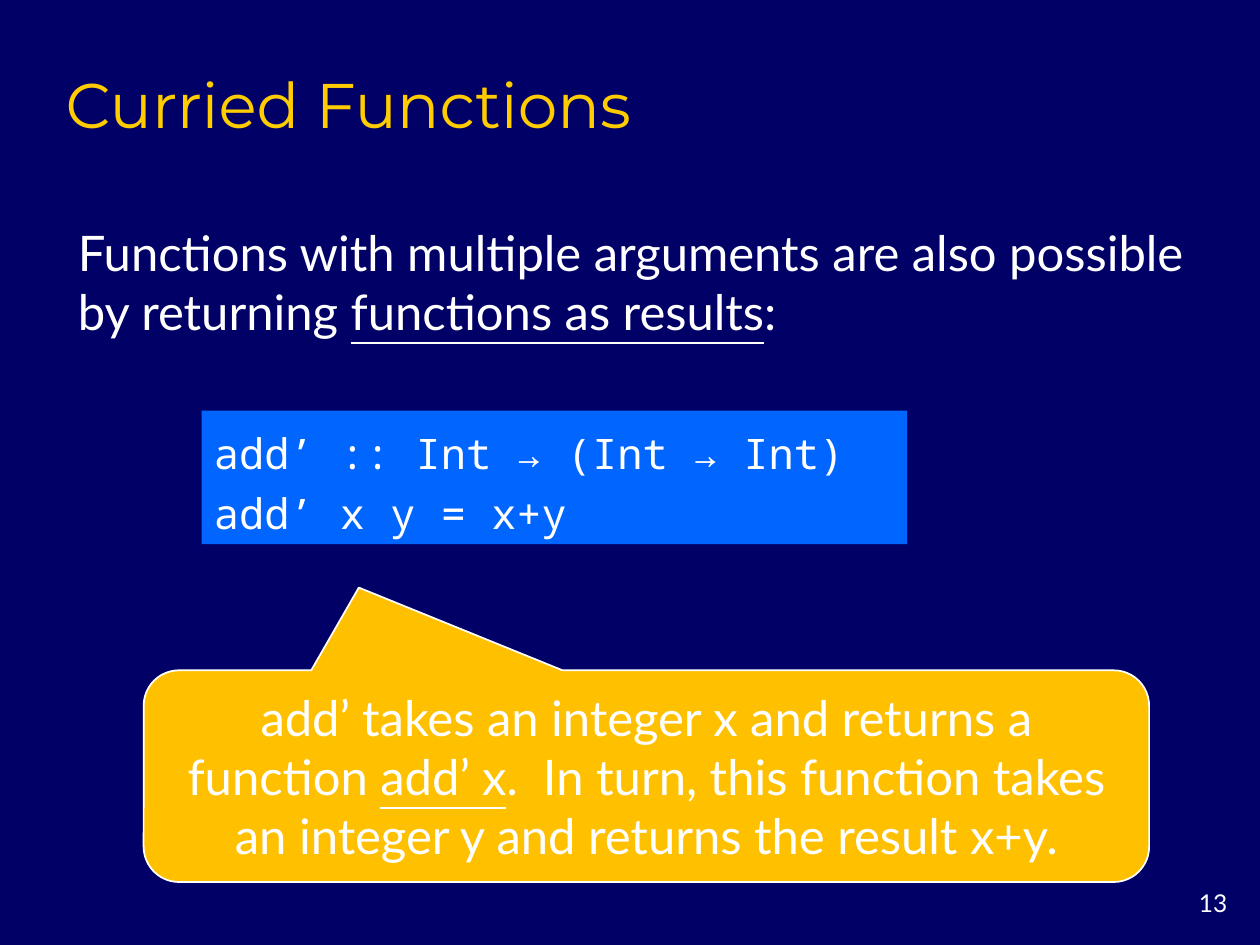
import pptx
import pptx.util
import pptx.dml.color
import pptx.enum.shapes
import pptx.enum.text
from dataclasses import dataclass

Inches = pptx.util.Inches
SHAPE = pptx.enum.shapes.MSO_SHAPE
ANCHOR = pptx.enum.text.MSO_ANCHOR
ALIGN = pptx.enum.text.PP_ALIGN
FIT = pptx.enum.text.MSO_AUTO_SIZE


@dataclass(frozen=True)
class Theme:
    background: str = "000066"
    title: str = "FFCC00"
    text: str = "FFFFFF"
    code: str = "0066FF"
    callout: str = "FFC000"
    title_font: str = "Montserrat"
    body_font: str = "Lato"
    code_font: str = "Noto Sans Mono"
    title_size: int = 36
    body_size: int = 28
    code_size: int = 24
    number_size: int = 14


THEME = Theme()


def rgb(value):
    return pptx.dml.color.RGBColor.from_string(value)


def add_run(p, text, font=THEME.body_font, size=THEME.body_size,
            color=THEME.text, underline=False):
    r = p.add_run()
    r.text = text
    r.font.name = font
    r.font.size = pptx.util.Pt(size)
    r.font.color.rgb = rgb(color)
    r.font.underline = underline


def set_frame(tf, anchor=ANCHOR.MIDDLE, auto_size=FIT.SHAPE_TO_FIT_TEXT):
    tf.word_wrap = True
    tf.vertical_anchor = anchor
    tf.auto_size = auto_size


def add_filled(s, kind, box, fill):
    sp = s.shapes.add_shape(kind, *box)
    sp.shadow.inherit = False
    sp.fill.solid()
    sp.fill.fore_color.rgb = rgb(fill)
    sp.line.fill.background()
    set_frame(sp.text_frame)
    return sp


def add_underlined_phrase(p, before, phrase, after):
    add_run(p, before)
    add_run(p, phrase, underline=True)
    add_run(p, after)


def add_title(s, box, text):
    sp = s.shapes.title
    sp.left, sp.top, sp.width, sp.height = box
    set_frame(sp.text_frame, ANCHOR.BOTTOM, FIT.NONE)
    p = sp.text_frame.paragraphs[0]
    p.alignment = ALIGN.LEFT
    add_run(p, text, font=THEME.title_font, size=THEME.title_size, color=THEME.title)


def add_statement(s, box, *parts):
    tf = s.shapes.add_textbox(*box).text_frame
    set_frame(tf)
    add_underlined_phrase(tf.paragraphs[0], *parts)


def add_code(s, box, lines):
    tf = add_filled(s, SHAPE.RECTANGLE, box, THEME.code).text_frame
    for i, line in enumerate(lines):
        p = tf.add_paragraph() if i else tf.paragraphs[0]
        p.alignment = ALIGN.LEFT
        p.line_spacing = 1.2
        add_run(p, line, font=THEME.code_font, size=THEME.code_size)


def add_callout(s, box, *parts):
    sp = add_filled(s, SHAPE.ROUNDED_RECTANGULAR_CALLOUT, box, THEME.callout)
    for i, value in enumerate((-0.286, -0.891, 0.167)):
        sp.adjustments[i] = value
    sp.line.color.rgb = rgb(THEME.text)
    sp.line.width = pptx.util.Pt(1)
    p = sp.text_frame.paragraphs[0]
    p.alignment = ALIGN.CENTER
    add_underlined_phrase(p, *parts)


def add_number(s, box, text):
    tf = s.shapes.add_textbox(*box).text_frame
    set_frame(tf, ANCHOR.TOP, FIT.NONE)
    p = tf.paragraphs[0]
    p.alignment = ALIGN.RIGHT
    add_run(p, text, size=THEME.number_size)


def box(*lengths):
    return tuple(Inches(n) for n in lengths)


def main():
    prs = pptx.Presentation()
    prs.slide_width, prs.slide_height = box(10, 7.5)
    s = prs.slides.add_slide(prs.slide_layouts.get_by_name("Title Only"))
    s.background.fill.solid()
    s.background.fill.fore_color.rgb = rgb(THEME.background)

    add_title(s, box(0.42, 0.42, 8.5, 0.75), "Curried Functions")
    add_statement(s, box(0.52, 1.72, 9.12, 1.03),
                  "Functions with multiple arguments are also possible by returning ",
                  "functions as results", ":")
    add_code(s, box(1.6, 3.26, 5.6, 1.06),
             ["add’ :: Int → (Int → Int)", "add’ x y = x+y"])
    add_callout(s, box(1.14, 5.32, 7.98, 1.68),
                "add’ takes an integer x and returns a function ", "add’ x",
                ".  In turn, this function takes an integer y and returns the result x+y.")
    add_number(s, box(9.17, 7, 0.67, 0.33), "13")
    prs.save("out.pptx")


if __name__ == "__main__":
    main()
